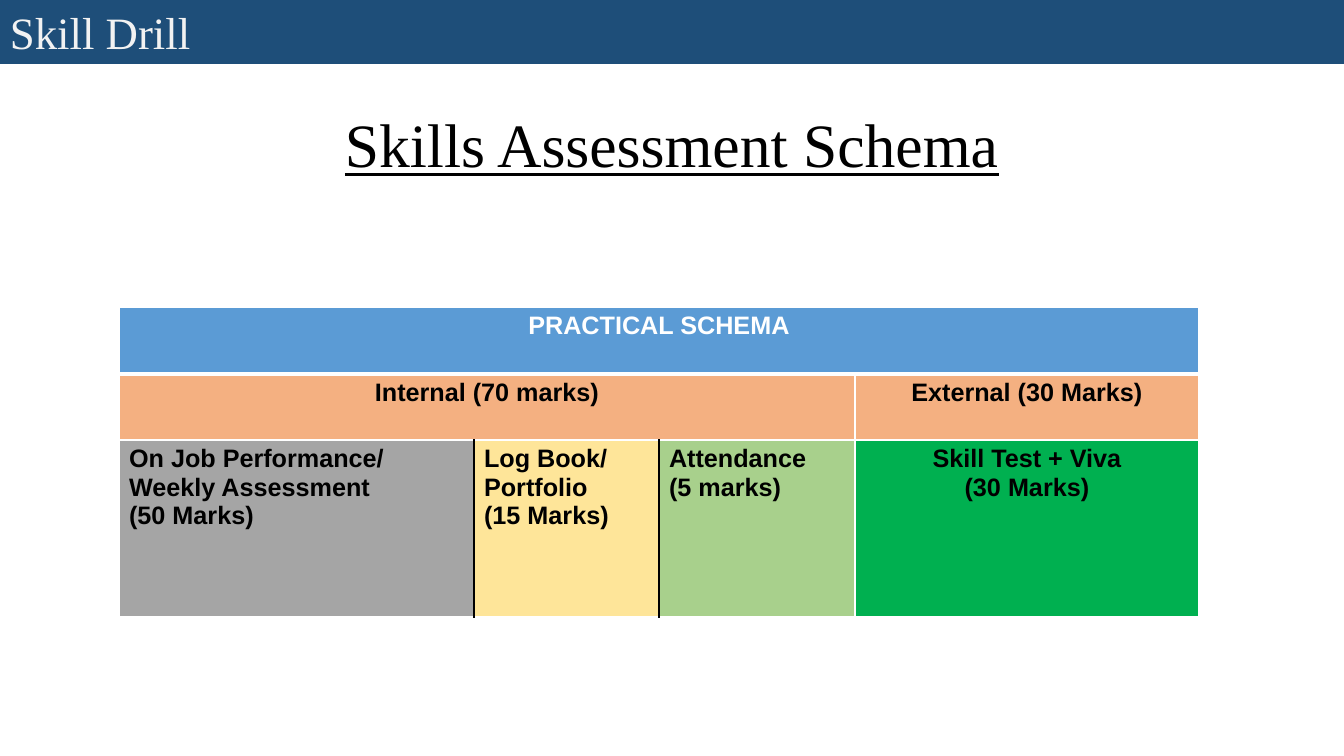
"""Build the Skills Assessment Schema slide."""
from lxml import etree
from pptx import Presentation
from pptx import util as u
from pptx.dml.color import RGBColor
from pptx.enum import shapes, text
from pptx.oxml.ns import qn

PX = 914400 / 100.8
THEME = {
    "serif": "Times New Roman", "sans": "Arial",
    "title_size": 44, "bar_size": 32, "cell_size": 18,
    "bar": "1E4E79", "bar_text": "F2F2F2", "black": "000000", "white": "FFFFFF",
    "header": "5B9BD5", "group": "F4B081", "job": "A5A5A5",
    "log": "FEE599", "attendance": "A8D08C", "test": "00B050",
}
LEFT, CENTER = text.PP_ALIGN.LEFT, text.PP_ALIGN.CENTER


def px(*lengths):
    """Turn pixel lengths into EMU."""
    return [u.Emu(round(n * PX)) for n in lengths]


def write(tf, lines, font, size, color, align=LEFT, bold=False, underline=False):
    """Fill a text frame with one formatted run per paragraph."""
    for i, line in enumerate(lines):
        p = tf.add_paragraph() if i else tf.paragraphs[0]
        p.alignment = align
        r = p.add_run()
        r.text = line
        r.font.name, r.font.size = THEME[font], u.Pt(THEME[size])
        r.font.bold, r.font.underline = bold, underline
        r.font.color.rgb = RGBColor.from_string(THEME[color])


prs = Presentation()
prs.slide_width, prs.slide_height = px(1344, 756)
s = prs.slides.add_slide(prs.slide_layouts[5])

title = s.shapes.title
title.left, title.top, title.width, title.height = px(0, 67, 1344, 162)
tf = title.text_frame
tf.vertical_anchor = text.MSO_ANCHOR.MIDDLE
tf.auto_size = text.MSO_AUTO_SIZE.NONE
write(tf, ["Skills Assessment Schema"], "serif", "title_size", "black", CENTER, underline=True)
tf.paragraphs[0].line_spacing = 0.9

bar = s.shapes.add_shape(shapes.MSO_SHAPE.RECTANGLE, *px(0, 0, 1344, 64))
bar.shadow.inherit = False
bar.fill.solid()
bar.fill.fore_color.rgb = RGBColor.from_string(THEME["bar"])
bar.line.fill.background()
bar.text_frame.vertical_anchor = text.MSO_ANCHOR.TOP
write(bar.text_frame, ["Skill Drill"], "serif", "bar_size", "bar_text")

columns, rows = [355, 185, 196, 344], [67, 66, 177]
table = s.shapes.add_table(len(rows), len(columns),
                           *px(119, 307, sum(columns), sum(rows))).table
table.first_row = table.horz_banding = False
for column, width in zip(table.columns, px(*columns)):
    column.width = width
for row, height in zip(table.rows, px(*rows)):
    row.height = height

for r in range(len(rows)):
    for c in range(len(columns)):
        borders = {
            "lnL": ("black" if r == 2 and c in (1, 2) else "white", 1),
            "lnR": ("black" if r == 2 and c in (0, 1) else "white", 1),
            "lnT": ("white", 3 if r == 1 else 1),
            "lnB": ("white", 3 if r == 0 else 1),
        }
        tcPr = table.cell(r, c)._tc.get_or_add_tcPr()
        for side, (color, width) in borders.items():
            ln = etree.SubElement(tcPr, qn(f"a:{side}"), w=str(u.Pt(width)))
            fill = etree.SubElement(ln, qn("a:solidFill"))
            etree.SubElement(fill, qn("a:srgbClr"), val=THEME[color])

cells = [
    (0, 0, 4, "header", "white", CENTER, ["PRACTICAL SCHEMA"]),
    (1, 0, 3, "group", "black", CENTER, ["Internal (70 marks)"]),
    (1, 3, 1, "group", "black", CENTER, ["External (30 Marks)"]),
    (2, 0, 1, "job", "black", LEFT, ["On Job Performance/ Weekly Assessment", "(50 Marks)"]),
    (2, 1, 1, "log", "black", LEFT, ["Log Book/ Portfolio", "(15 Marks)"]),
    (2, 2, 1, "attendance", "black", LEFT, ["Attendance", "(5 marks)"]),
    (2, 3, 1, "test", "black", CENTER, ["Skill Test + Viva", "(30 Marks)"]),
]
for r, c, span, fill, color, align, lines in cells:
    cell = table.cell(r, c)
    if span > 1:
        cell.merge(table.cell(r, c + span - 1))
    for i in range(c, c + span):
        table.cell(r, i).fill.solid()
        table.cell(r, i).fill.fore_color.rgb = RGBColor.from_string(THEME[fill])
    write(cell.text_frame, lines, "sans", "cell_size", color, align, bold=True)

prs.save("out.pptx")
